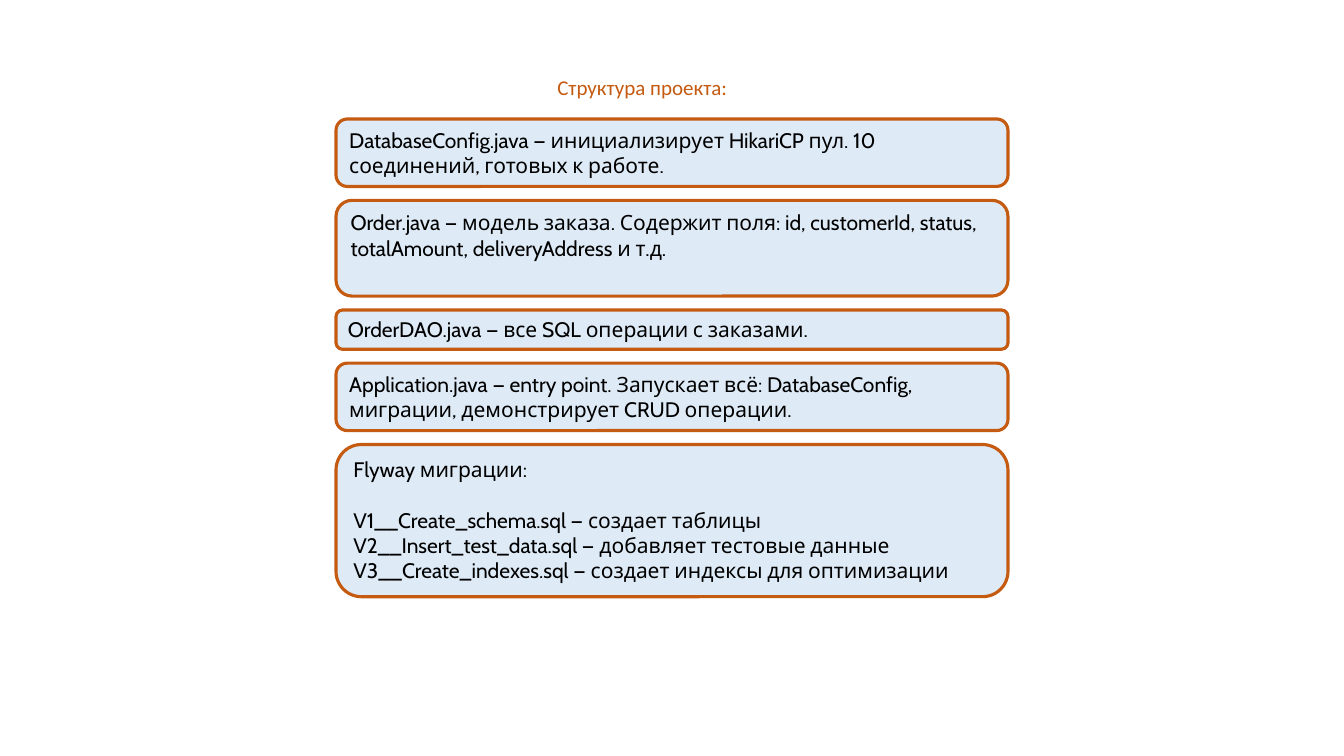
import pptx
import pptx.dml.color
import pptx.enum.shapes
import pptx.enum.text
import pptx.util

Pt = pptx.util.Pt
COLORS = {"accent": "C55A11", "card": "DEEBF7", "text": "000000"}

CARD_LEFT, CARD_TOP, CARD_WIDTH, CARD_GAP = 240, 85, 480, 9.9
BLANK_LAYOUT = 6

# Height of each card and its paragraphs
CARDS = [
    (48.2, ["DatabaseConfig.java — инициализирует HikariCP пул. 10 соединений, готовых к работе."]),
    (68.4, ["Order.java — модель заказа. Содержит поля: id, customerId, status, "
            "totalAmount, deliveryAddress и т.д."]),
    (28.1, ["OrderDAO.java — все SQL операции с заказами."]),
    (48.2, ["Application.java — entry point. Запускает всё: DatabaseConfig, "
            "миграции, демонстрирует CRUD операции."]),
    (108.7, ["Flyway миграции:",
             "V1__Create_schema.sql — создает таблицы",
             "V2__Insert_test_data.sql — добавляет тестовые данные",
             "V3__Create_indexes.sql — создает индексы для оптимизации"]),
]


def rgb(name):
    return pptx.dml.color.RGBColor.from_string(COLORS[name])


def write_text(frame, lines, font="Cabin", size=15, color="text", heading_gap=18):
    """Fill a frame; heading_gap separates the first line from the rest."""
    frame.word_wrap = True
    frame.vertical_anchor = pptx.enum.text.MSO_ANCHOR.TOP
    for index, line in enumerate(lines):
        paragraph = frame.add_paragraph() if index else frame.paragraphs[0]
        paragraph.alignment = pptx.enum.text.PP_ALIGN.LEFT
        if index == 1:
            paragraph.space_before = Pt(heading_gap)
        run = paragraph.add_run()
        run.text = line
        run.font.name = font
        run.font.size = Pt(size)
        run.font.color.rgb = rgb(color)


def add_heading(slide, text, left, top, width, height):
    heading = slide.shapes.add_textbox(Pt(left), Pt(top), Pt(width), Pt(height))
    write_text(heading.text_frame, [text], font="Calibri", color="accent")


def add_card(slide, lines, top, height):
    card = slide.shapes.add_shape(
        pptx.enum.shapes.MSO_SHAPE.ROUNDED_RECTANGLE,
        Pt(CARD_LEFT), Pt(top), Pt(CARD_WIDTH), Pt(height))
    card.shadow.inherit = False
    card.fill.solid()
    card.fill.fore_color.rgb = rgb("card")
    card.line.color.rgb = rgb("accent")
    card.line.width = Pt(2.25)
    write_text(card.text_frame, lines)


def main():
    deck = pptx.Presentation()
    deck.slide_width, deck.slide_height = Pt(960), Pt(540)
    slide = deck.slides.add_slide(deck.slide_layouts[BLANK_LAYOUT])

    # Heading
    add_heading(slide, "Структура проекта:", 391, 49.7, 170.6, 25.2)

    # Stack of cards with equal gaps
    top = CARD_TOP
    for height, lines in CARDS:
        add_card(slide, lines, top, height)
        top += height + CARD_GAP

    deck.save("out.pptx")


if __name__ == "__main__":
    main()
